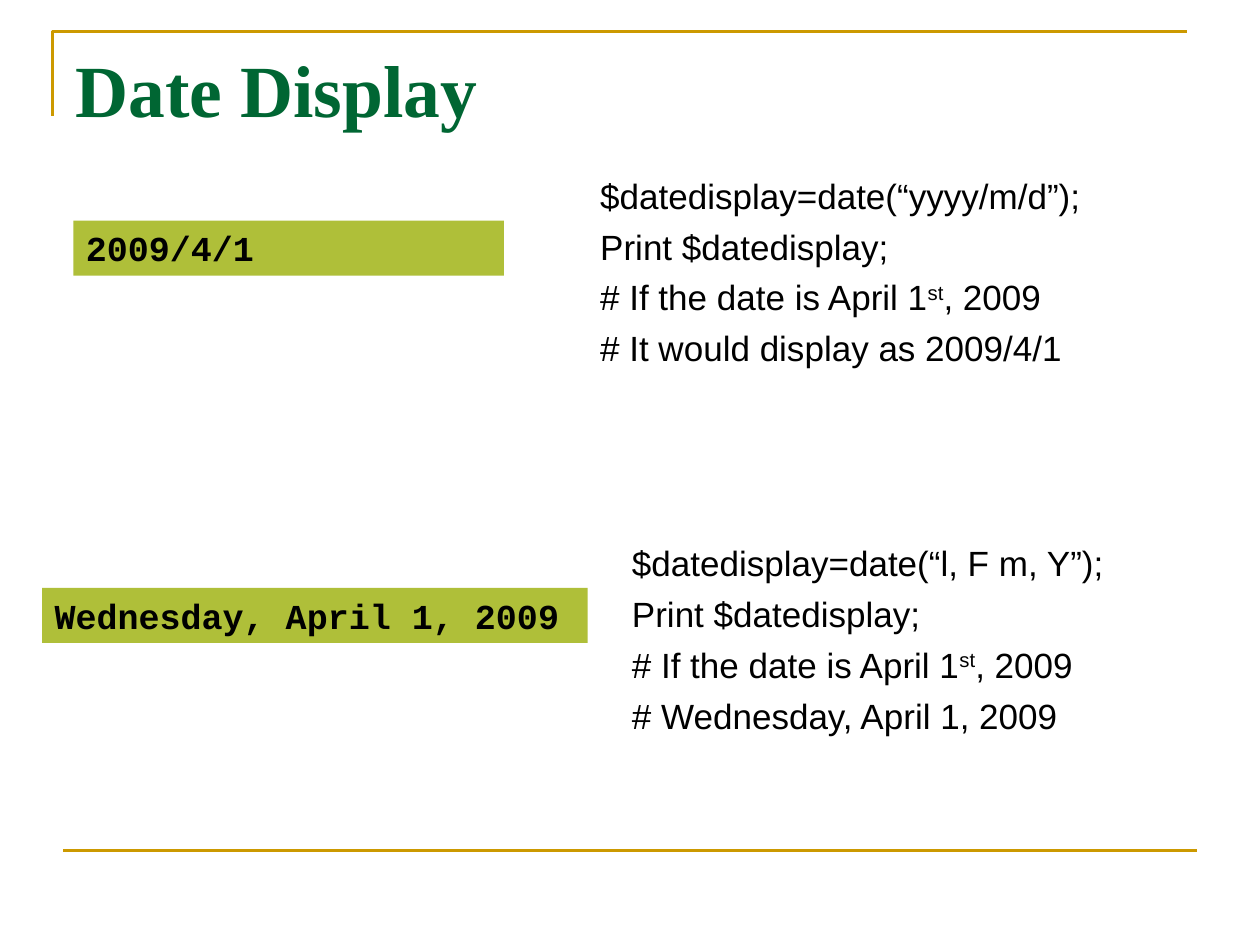
from pptx import Presentation
from pptx import util as u
from pptx.dml.color import RGBColor
from pptx.enum import shapes, text
from pptx.oxml.ns import qn
from lxml import etree

GOLD, GREEN, LIME, BLACK = "CC9900", "006633", "AFBF39", "000000"


def rgb(code):
    return RGBColor.from_string(code)


def add_run(par, words, size, font, color=BLACK, bold=False):
    run = par.add_run()
    run.text = words
    run.font.size = u.Pt(size)
    run.font.name = font
    run.font.bold = bold
    run.font.color.rgb = rgb(color)
    return run


def set_line(shape):
    shape.line.color.rgb = rgb(GOLD)
    shape.line.width = u.Pt(1.5)


def add_rule(slide, left, top, right):
    rule = slide.shapes.add_connector(
        shapes.MSO_CONNECTOR.STRAIGHT, u.Cm(left), u.Cm(top), u.Cm(right), u.Cm(top))
    set_line(rule)
    etree.SubElement(rule._element.spPr, qn("a:effectLst"))


def add_frame(slide, left, top, right, foot):
    """Draw the open corner around the title."""
    pen = slide.shapes.build_freeform(u.Cm(left), u.Cm(foot))
    pen.add_line_segments(
        [(u.Cm(left), u.Cm(top)), (u.Cm(right), u.Cm(top))], close=False)
    frame = pen.convert_to_shape()
    frame.shadow.inherit = False
    frame.fill.background()
    set_line(frame)


def add_box(slide, left, top, width, height):
    box = slide.shapes.add_textbox(u.Cm(left), u.Cm(top), u.Cm(width), u.Cm(height))
    box.text_frame.word_wrap = True
    return box.text_frame


def add_title(slide, words):
    body = add_box(slide, 1.27, 0.76, 22.86, 3.18)
    add_run(body.paragraphs[0], words, 42, "Times New Roman", GREEN, True)


def add_code(slide, left, top, lines):
    """Write code lines; each is a list of parts, every second one raised."""
    body = add_box(slide, left, top, 11.86, 4.88)
    for row, parts in enumerate(lines):
        par = body.add_paragraph() if row else body.paragraphs[0]
        par.space_before = u.Pt(5)
        props = par._p.get_or_add_pPr()
        props.set("marL", str(u.Cm(0.95)))
        props.set("indent", str(-u.Cm(0.95)))
        for spot, part in enumerate(parts):
            run = add_run(par, part, 20, "Arial")
            if spot % 2:
                run.font._element.set("baseline", "30000")


def add_label(slide, left, top, width, words):
    label = slide.shapes.add_shape(
        shapes.MSO_SHAPE.RECTANGLE, u.Cm(left), u.Cm(top), u.Cm(width), u.Cm(1.11))
    label.shadow.inherit = False
    label.fill.solid()
    label.fill.fore_color.rgb = rgb(LIME)
    label.line.fill.background()
    body = label.text_frame
    body.word_wrap = True
    body.vertical_anchor = text.MSO_ANCHOR.TOP
    par = body.paragraphs[0]
    par.alignment = text.PP_ALIGN.LEFT
    add_run(par, words, 20, "Courier New", bold=True)


def main():
    deck = Presentation()
    deck.slide_width, deck.slide_height = u.Cm(25.4), u.Cm(19.05)
    slide = deck.slides.add_slide(deck.slide_layouts[6])
    add_frame(slide, 1.06, 0.64, 23.92, 2.33)
    add_rule(slide, 1.27, 17.15, 24.13)
    add_title(slide, "Date Display")
    shared = [["Print $datedisplay;"], ["# If the date is April 1", "st", ", 2009"]]
    add_code(slide, 11.85, 3.39, [
        ["$datedisplay=date(“yyyy/m/d”);"], *shared, ["# It would display as 2009/4/1"]])
    add_label(slide, 1.48, 4.45, 8.68, "2009/4/1")
    add_code(slide, 12.49, 10.8, [
        ["$datedisplay=date(“l, F m, Y”);"], *shared, ["# Wednesday, April 1, 2009"]])
    add_label(slide, 0.85, 11.85, 11.0, "Wednesday, April 1, 2009")
    deck.save("out.pptx")


if __name__ == "__main__":
    main()
